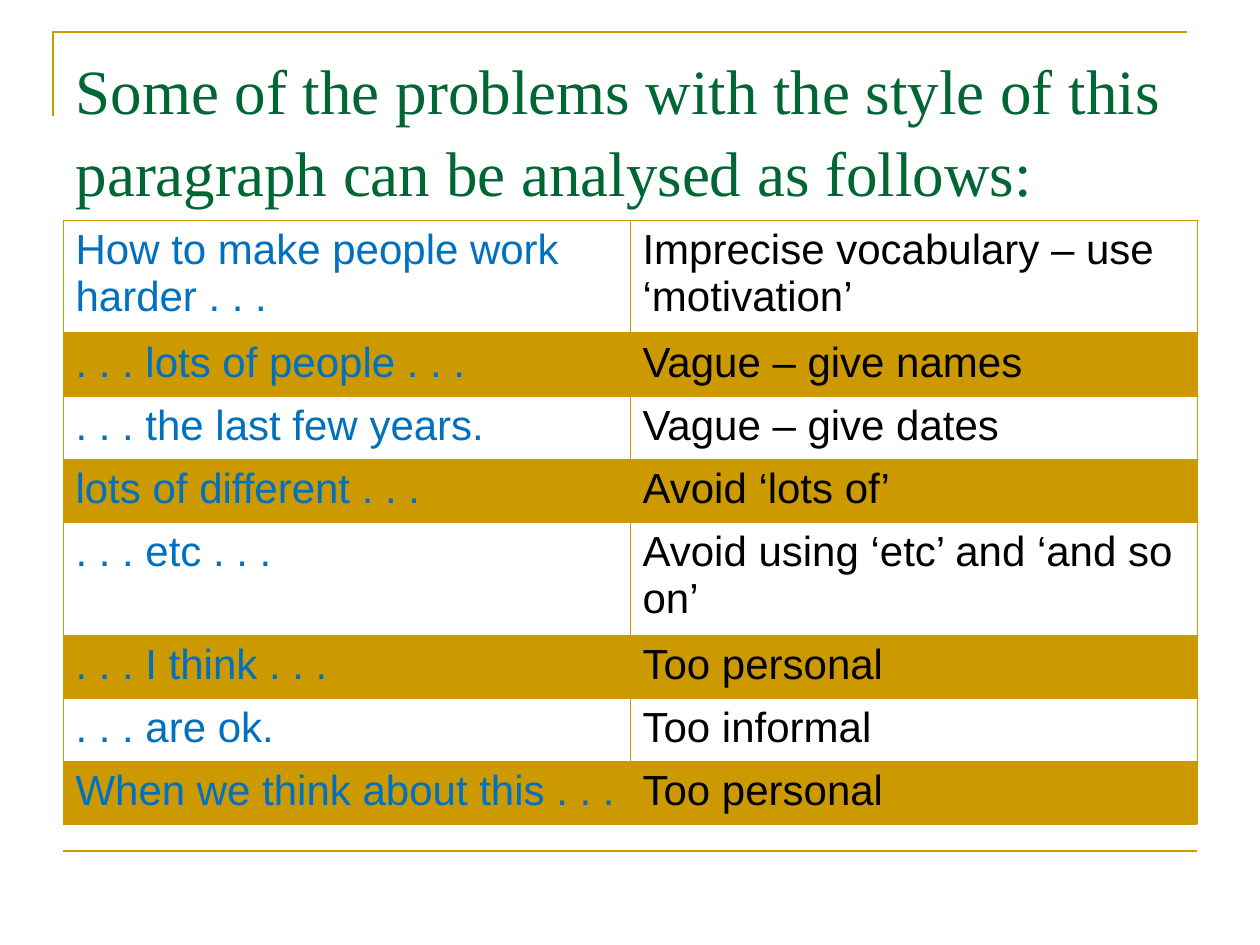
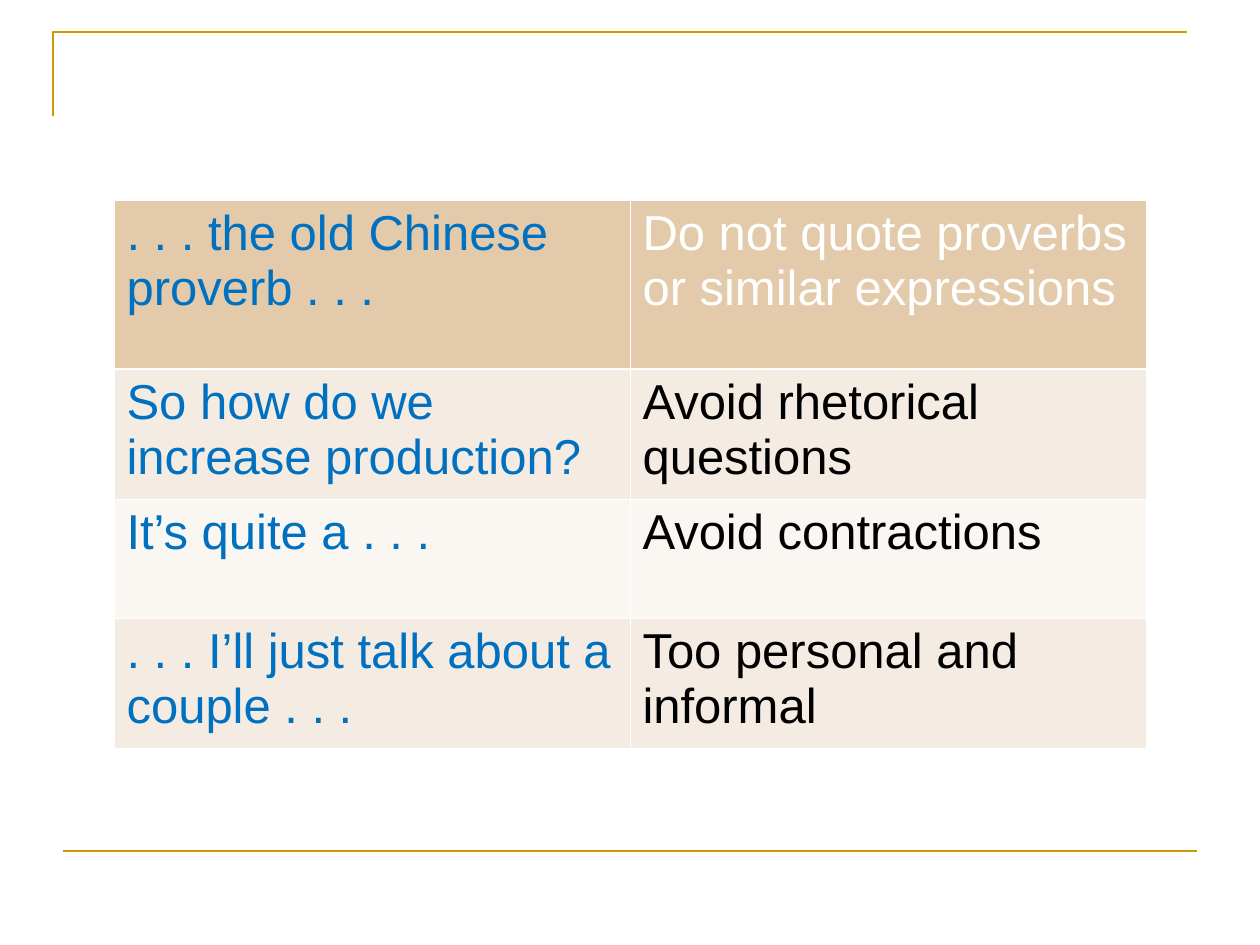
from lxml import etree
from pptx import Presentation
from pptx.dml.color import RGBColor
from pptx.enum.shapes import MSO_CONNECTOR
from pptx.enum.text import MSO_ANCHOR, MSO_AUTO_SIZE, PP_ALIGN
from pptx.oxml.ns import qn
from pptx.util import Emu, Pt

STRAIGHT = MSO_CONNECTOR.STRAIGHT
TOP = MSO_ANCHOR.TOP
NO_AUTOFIT = MSO_AUTO_SIZE.NONE
LEFT = PP_ALIGN.LEFT

GOLD = RGBColor(0xCC, 0x99, 0x00)
GREEN = RGBColor(0x00, 0x66, 0x33)
BLUE = RGBColor(0x00, 0x70, 0xC0)
BLACK = RGBColor(0x00, 0x00, 0x00)
WHITE = RGBColor(0xFF, 0xFF, 0xFF)
TAN = RGBColor(0xE2, 0xCA, 0xAA)
BEIGE = RGBColor(0xF4, 0xEC, 0xE2)
CREAM = RGBColor(0xFA, 0xF6, 0xF1)

TITLE_FONT = "Times New Roman"
TABLE_FONT = "Arial"
EMU_PER_PX = 914400 / 126
TITLE_ONLY, BLANK = 5, 6

STYLE_PROBLEMS = [
    ("How to make people work harder . . .", "Imprecise vocabulary – use ‘motivation’"),
    (". . . lots of people . . .", "Vague – give names"),
    (". . . the last few years.", "Vague – give dates"),
    ("lots of different . . .", "Avoid ‘lots of’"),
    (". . . etc . . .", "Avoid using ‘etc’ and ‘and so on’"),
    (". . . I think . . .", "Too personal"),
    (". . . are ok.", "Too informal"),
    ("When we think about this . . .", "Too personal"),
]
MORE_PROBLEMS = [
    (". . . the old Chinese proverb . . .", "Do not quote proverbs or similar expressions"),
    ("So how do we increase production?", "Avoid rhetorical questions"),
    ("It’s quite a . . .", "Avoid contractions"),
    (". . . I’ll just talk about a couple . . .", "Too personal and informal"),
]


def px(length):
    return Emu(round(length * EMU_PER_PX))


def add_frame(slide):
    """Draw the gold corner at the top and the gold rule at the bottom."""
    builder = slide.shapes.build_freeform(53, 116, scale=EMU_PER_PX)
    builder.add_line_segments([(53, 32), (1187, 32)], close=False)
    corner = builder.convert_to_shape()
    corner.shadow.inherit = False
    corner.fill.background()

    rule = slide.shapes.add_connector(STRAIGHT, px(63), px(851), px(1197), px(851))
    etree.SubElement(rule._element.spPr, qn("a:effectLst"))

    for shape in (corner, rule):
        shape.line.color.rgb = GOLD
        shape.line.width = Pt(1.5)


def set_title(slide, text):
    title = slide.shapes.title
    title.left, title.top, title.width, title.height = px(63), px(38), px(1134), px(157)
    frame = title.text_frame
    frame.text = text
    frame.word_wrap = True
    frame.auto_size = NO_AUTOFIT
    frame.vertical_anchor = TOP
    paragraph = frame.paragraphs[0]
    paragraph.alignment = LEFT
    paragraph.line_spacing = 1.09
    paragraph.font.name = TITLE_FONT
    paragraph.font.size = Pt(36)
    paragraph.font.color.rgb = GREEN


def set_borders(cell, color, widths):
    """Border a cell; widths maps each side (L, R, T, B) to points."""
    properties = cell._tc.get_or_add_tcPr()
    for side, width in widths.items():
        line = etree.SubElement(properties, qn(f"a:ln{side}"), w=str(Pt(width)))
        fill = etree.SubElement(line, qn("a:solidFill"))
        etree.SubElement(fill, qn("a:srgbClr"), val=str(color))


def fill_cell(cell, color, opacity):
    if color is None:
        cell.fill.background()
        return
    cell.fill.solid()
    cell.fill.fore_color.rgb = color
    if opacity < 100:
        color_element = cell._tc.tcPr.find(".//" + qn("a:srgbClr"))
        etree.SubElement(color_element, qn("a:alpha"), val=str(opacity * 1000))


def write_cell(cell, text, size, color):
    cell.text = text
    font = cell.text_frame.paragraphs[0].font
    font.name = TABLE_FONT
    font.size = Pt(size)
    font.color.rgb = color


def add_advice_table(slide, rows, left, top, column_width, heights, size, fills,
                     border, header_rule, header_color=BLACK, opacity=100):
    """Add a table of quoted phrases in blue beside the advice on each.

    fills holds the colours of the header, odd and even rows; None is no fill.
    """
    table = slide.shapes.add_table(len(rows), 2, px(left), px(top),
                                   px(2 * column_width), px(sum(heights))).table
    table.first_row = table.horz_banding = False
    for column in table.columns:
        column.width = px(column_width)

    header_fill, odd_fill, even_fill = fills
    for index, (texts, height) in enumerate(zip(rows, heights)):
        table.rows[index].height = px(height)
        if index == 0:
            fill, advice_color = header_fill, header_color
        else:
            fill, advice_color = (odd_fill if index % 2 else even_fill), BLACK
        widths = {"L": 0.45, "R": 0.45,
                  "T": header_rule if index == 1 else 0.45,
                  "B": header_rule if index == 0 else 0.45}
        for cell, text, color in zip(table.rows[index].cells, texts, (BLUE, advice_color)):
            write_cell(cell, text, size, color)
            set_borders(cell, border, widths)
            fill_cell(cell, fill, opacity)


def add_slide(presentation, layout):
    slide = presentation.slides.add_slide(presentation.slide_layouts[layout])
    add_frame(slide)
    return slide


def main():
    presentation = Presentation()
    presentation.slide_width, presentation.slide_height = px(1260), px(945)

    slide = add_slide(presentation, TITLE_ONLY)
    set_title(slide, "Some of the problems with the style of this paragraph "
                     "can be analysed as follows:")
    add_advice_table(slide, STYLE_PROBLEMS, 63, 220, 567,
                     [113, 63, 63, 63, 113, 63, 63, 63], 24, (None, GOLD, None),
                     GOLD, 0.96, opacity=20)

    slide = add_slide(presentation, BLANK)
    add_advice_table(slide, MORE_PROBLEMS, 114, 200, 516, [169, 130, 119, 130], 28,
                     (TAN, BEIGE, CREAM), WHITE, 1.47, header_color=WHITE)

    presentation.save("out.pptx")


if __name__ == "__main__":
    main()
